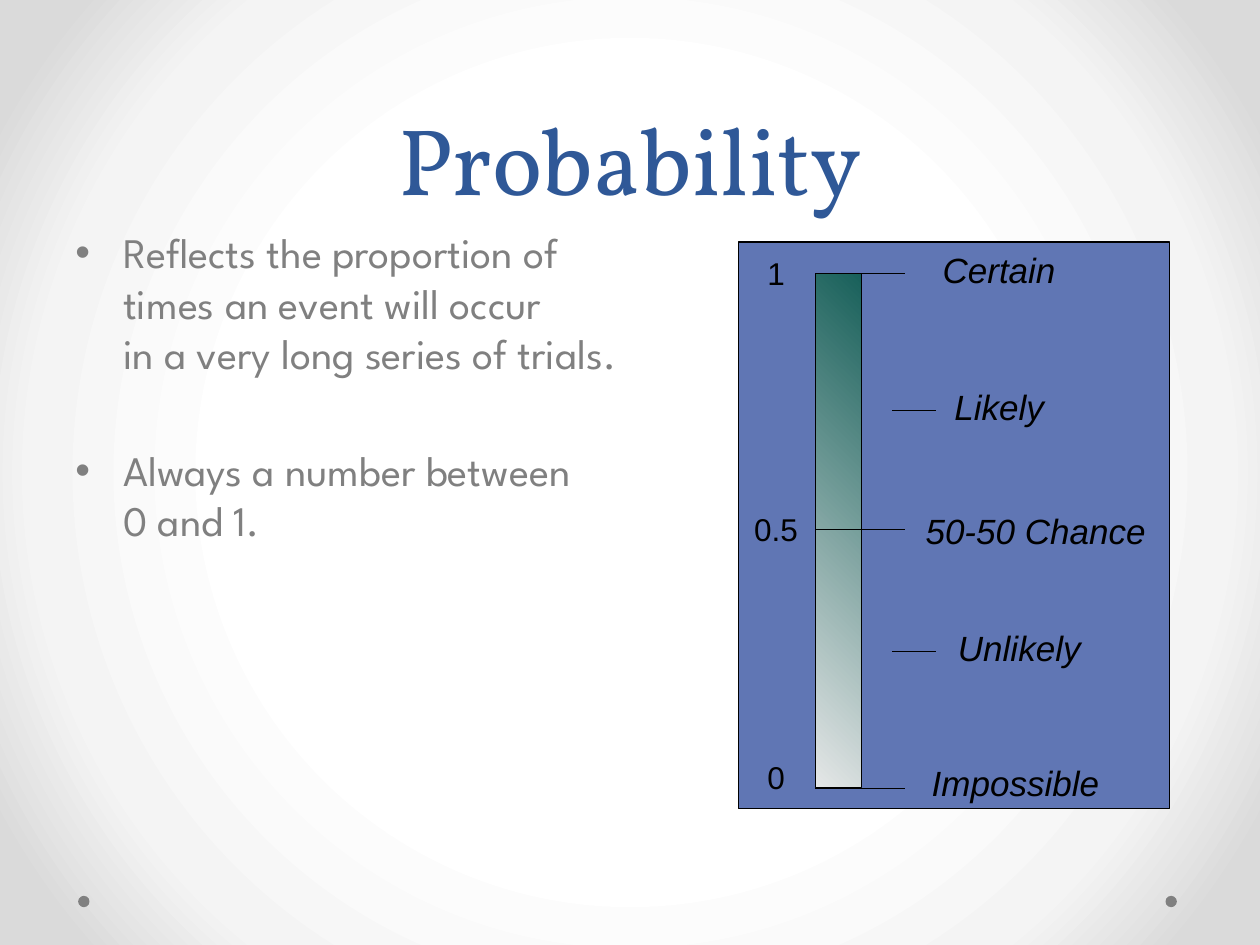
from lxml import etree
from pptx import Presentation
from pptx import util as u
from pptx.dml.color import RGBColor
from pptx.enum import shapes, text
from pptx.oxml import parse_xml
from pptx.oxml.ns import nsdecls, qn

BLUE = RGBColor(0x2F, 0x58, 0x97)
GREY = RGBColor(0x80, 0x80, 0x80)
PANEL = RGBColor(0x60, 0x76, 0xB4)
PALE = RGBColor(0xE5, 0xE7, 0xE7)
TEAL = RGBColor(0x18, 0x60, 0x5A)
BLACK = RGBColor(0, 0, 0)

TITLE = "Probability"
# Wording, space before in points
POINTS = [
    ("Reflects the proportion of \ntimes an event will occur \n"
     "in a very long series of trials.", 5),
    ("Always a number between\n0 and 1.", 38),
]
BACKDROP = [(50, "FFFFFF"), (76, "F4F4F4"), (92, "DADADA")]

BAR_LEFT, BAR_TOP, BAR_WIDTH, BAR_HEIGHT = 6.47, 2.17, 0.37, 4.08
MAJOR_TICK = (BAR_LEFT, 7.18)
MINOR_TICK = (7.08, 7.43)
# Tick height, tick span, (value, centre x, centre y, width), (word, centre x, centre y, width)
LEVELS = [
    (2.17, MAJOR_TICK, ("1", 6.16, 2.17, 0.39), ("Certain", 7.93, 2.14, 1.1)),
    (3.26, MINOR_TICK, None, ("Likely", 7.93, 3.23, 0.91)),
    (4.2, MAJOR_TICK, ("0.5", 6.16, 4.2, 0.66), ("50-50 Chance", 8.22, 4.21, 1.95)),
    (5.17, MINOR_TICK, None, ("Unlikely", 8.09, 5.14, 1.18)),
    (6.26, MAJOR_TICK, ("0", 6.16, 6.17, 0.39), ("Impossible", 8.06, 6.21, 1.53)),
]

deck = Presentation()
deck.slide_width, deck.slide_height = u.Inches(10), u.Inches(7.5)
slide = deck.slides.add_slide(deck.slide_layouts[6])


def paint_backdrop():
    """Give the slide a round gradient, white in the middle."""
    slide.background.fill.gradient()
    gradient = slide._element.find(".//" + qn("a:gradFill"))
    for child in list(gradient):
        gradient.remove(child)
    stops = "".join(f'<a:gs pos="{share * 1000}"><a:srgbClr val="{colour}"/></a:gs>'
                    for share, colour in BACKDROP)
    gradient.append(parse_xml(f'<a:gsLst {nsdecls("a")}>{stops}</a:gsLst>'))
    gradient.append(parse_xml(
        f'<a:path {nsdecls("a")} path="circle">'
        '<a:fillToRect l="50000" t="50000" r="50000" b="50000"/></a:path>'))


def add_block(kind, left, top, width, height, colour=None, outlined=True):
    """Add a flat shape, with a thin black outline if wanted."""
    block = slide.shapes.add_shape(kind, *map(u.Inches, (left, top, width, height)))
    block.shadow.inherit = False
    if colour is not None:
        block.fill.solid()
        block.fill.fore_color.rgb = colour
    if outlined:
        block.line.color.rgb = BLACK
        block.line.width = u.Pt(0.75)
    else:
        block.line.fill.background()
    return block


def add_frame(left, top, width, height, anchor, wrap=True):
    """Add a text box and return its text frame."""
    frame = slide.shapes.add_textbox(*map(u.Inches, (left, top, width, height))).text_frame
    frame.word_wrap = wrap
    frame.vertical_anchor = anchor
    return frame


def write(paragraph, words, face, size, colour, align=None, italic=None):
    """Fill a paragraph and set its font."""
    paragraph.text = words
    paragraph.alignment = align
    font = paragraph.font
    font.name, font.size, font.italic = face, u.Pt(size), italic
    font.color.rgb = colour


def add_label(label, size, height, italic=None):
    """Centre a scale label on its point."""
    words, x, y, width = label
    frame = add_frame(x - width / 2, y - height / 2, width, height,
                      text.MSO_ANCHOR.MIDDLE, wrap=False)
    write(frame.paragraphs[0], words, "Arial", size, BLACK, text.PP_ALIGN.CENTER, italic)


def add_tick(y, span):
    """Draw a level line across the span."""
    tick = slide.shapes.add_connector(
        shapes.MSO_CONNECTOR.STRAIGHT, *map(u.Inches, (span[0], y, span[1], y)))
    tick.line.color.rgb = BLACK
    tick.line.width = u.Pt(0.75)
    etree.SubElement(tick._element.spPr, qn("a:effectLst"))


def add_bullet(paragraph):
    """Hang the paragraph on a round bullet."""
    props = paragraph._p.get_or_add_pPr()
    props.set("marL", str(u.Inches(0.38)))
    props.set("indent", str(-u.Inches(0.38)))
    bullet = parse_xml(f'<a:buChar {nsdecls("a")} char="•"/>')
    face = parse_xml(f'<a:buFont {nsdecls("a")} typeface="Arial"/>')
    defaults = props.find(qn("a:defRPr"))
    defaults.addprevious(face)
    defaults.addprevious(bullet)


paint_backdrop()
for dot_left in (0.62, 9.25):
    add_block(shapes.MSO_SHAPE.OVAL, dot_left, 7.11, 0.09, 0.09, GREY, outlined=False)

heading = add_frame(0.5, 0, 9, 1.75, text.MSO_ANCHOR.BOTTOM).paragraphs[0]
write(heading, TITLE, "Vollkorn", 54, BLUE, text.PP_ALIGN.CENTER)
heading.line_spacing = u.Pt(58)

body = add_frame(0.5, 1.75, 9, 4.95, text.MSO_ANCHOR.TOP)
for number, (words, gap) in enumerate(POINTS):
    point = body.add_paragraph() if number else body.paragraphs[0]
    write(point, words, "League Spartan", 24, GREY)
    point.space_before = u.Pt(gap)
    add_bullet(point)

add_block(shapes.MSO_SHAPE.RECTANGLE, 5.86, 1.92, 3.42, 4.5, PANEL)
bar = add_block(shapes.MSO_SHAPE.RECTANGLE, BAR_LEFT, BAR_TOP, BAR_WIDTH, BAR_HEIGHT)
bar.fill.gradient()
bar.fill.gradient_angle = 45
for stop, share, colour in zip(bar.fill.gradient_stops, (0, 1), (PALE, TEAL)):
    stop.position = share
    stop.color.rgb = colour

for y, span, value, word in LEVELS:
    add_tick(y, span)
    if value:
        add_label(value, 18, 0.5)
    add_label(word, 20, 0.43, italic=True)

deck.save("out.pptx")
